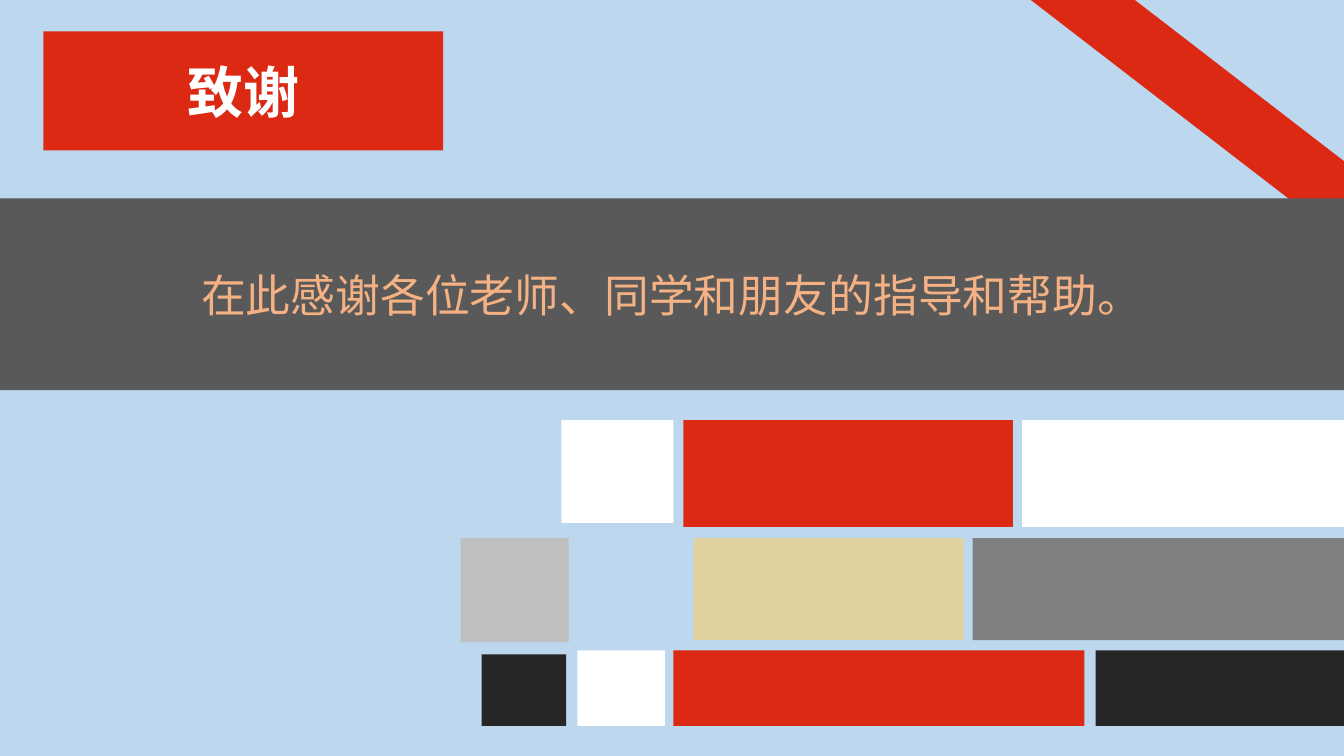
import pptx
import pptx.util
import pptx.dml.color
import pptx.enum.shapes
import pptx.enum.text
import pptx.oxml
import pptx.oxml.ns

Cm = pptx.util.Cm
COLOURS = {
    "sky": "BDD7EE", "red": "DB2914", "slate": "595959", "peach": "F4B183",
    "white": "FFFFFF", "sand": "DFD2A0", "silver": "BFBFBF",
    "grey": "808080", "black": "262626",
}
PAGE_WIDTH, PAGE_HEIGHT = 33.87, 19.05
CJK_FONT = "Noto Sans CJK SC"

# Mosaic rows: top, height, alignment (0 top, 1 bottom), tiles.
# Tiles: left, width (None runs to the right edge), height, colour.
MOSAIC_ROWS = [
    (0, 2.69, 0, [(2.54, 2.82, 2.59, "white"), (5.61, 8.31, 2.69, "red"),
                  (14.15, None, 2.69, "white")]),
    (2.97, 2.62, 0, [(0, 2.72, 2.62, "silver"), (5.87, 6.81, 2.57, "sand"),
                     (12.9, None, 2.57, "grey")]),
    (5.8, 1.9, 1, [(0.53, 2.13, 1.8, "black"), (2.94, 2.21, 1.9, "white"),
                   (5.36, 10.36, 1.9, "red"), (16, None, 1.9, "black")]),
]


def rgb(name):
    return pptx.dml.color.RGBColor.from_string(COLOURS[name])


def paint(fill, colour):
    fill.solid()
    fill.fore_color.rgb = rgb(colour)


def add_block(page, box, colour):
    shape = page.shapes.add_shape(
        pptx.enum.shapes.MSO_SHAPE.RECTANGLE, *map(Cm, box))
    shape.shadow.inherit = False
    shape.line.fill.background()
    paint(shape.fill, colour)
    return shape


def write_centred(shape, text, colour, font_format):
    frame = shape.text_frame
    frame.word_wrap = True
    frame.auto_size = pptx.enum.text.MSO_AUTO_SIZE.NONE
    frame.vertical_anchor = pptx.enum.text.MSO_ANCHOR.MIDDLE
    para = frame.paragraphs[0]
    para.alignment = pptx.enum.text.PP_ALIGN.CENTER
    span = para.add_run()
    span.text = text
    for name, value in font_format.items():
        setattr(span.font, name, value)
    span.font.color.rgb = rgb(colour)
    # East Asian typeface follows the Latin one
    east_asian = pptx.oxml.parse_xml(
        f'<a:ea {pptx.oxml.ns.nsdecls("a")} typeface="{CJK_FONT}"/>')
    span.font._element.append(east_asian)


def add_diagonal_band(page, box):
    add_block(page, box, "red").rotation = 37.6


def add_title(page, box):
    title = page.shapes.title
    for name, value in zip(("left", "top", "width", "height"), box):
        setattr(title, name, Cm(value))
    paint(title.fill, "red")
    write_centred(title, "致谢", "white",
                  {"name": CJK_FONT, "size": pptx.util.Pt(40), "bold": True})


def add_thanks_banner(page, box):
    banner = add_block(page, box, "slate")
    write_centred(banner, "在此感谢各位老师、同学和朋友的指导和帮助。", "peach",
                  {"name": "Arial", "size": pptx.util.Pt(32)})


def add_mosaic(page, box):
    left, top, total_width, _ = box
    for row_top, row_height, align, tiles in MOSAIC_ROWS:
        for offset, width, height, colour in tiles:
            tile_top = top + row_top + align * (row_height - height)
            tile_width = width or total_width - offset
            add_block(page, (left + offset, tile_top, tile_width, height), colour)


def main():
    deck = pptx.Presentation()
    deck.slide_width, deck.slide_height = Cm(PAGE_WIDTH), Cm(PAGE_HEIGHT)
    page = deck.slides.add_slide(deck.slide_layouts.get_by_name("Title Only"))
    paint(page.background.fill, "sky")

    add_diagonal_band(page, (20.57, 1.09, 18.34, 1.6))
    add_thanks_banner(page, (0, 5, PAGE_WIDTH, 4.83))
    add_mosaic(page, (11.61, 10.59, PAGE_WIDTH - 11.61, 7.7))
    add_title(page, (1.09, 0.79, 10.08, 3))
    deck.save("out.pptx")


if __name__ == "__main__":
    main()
